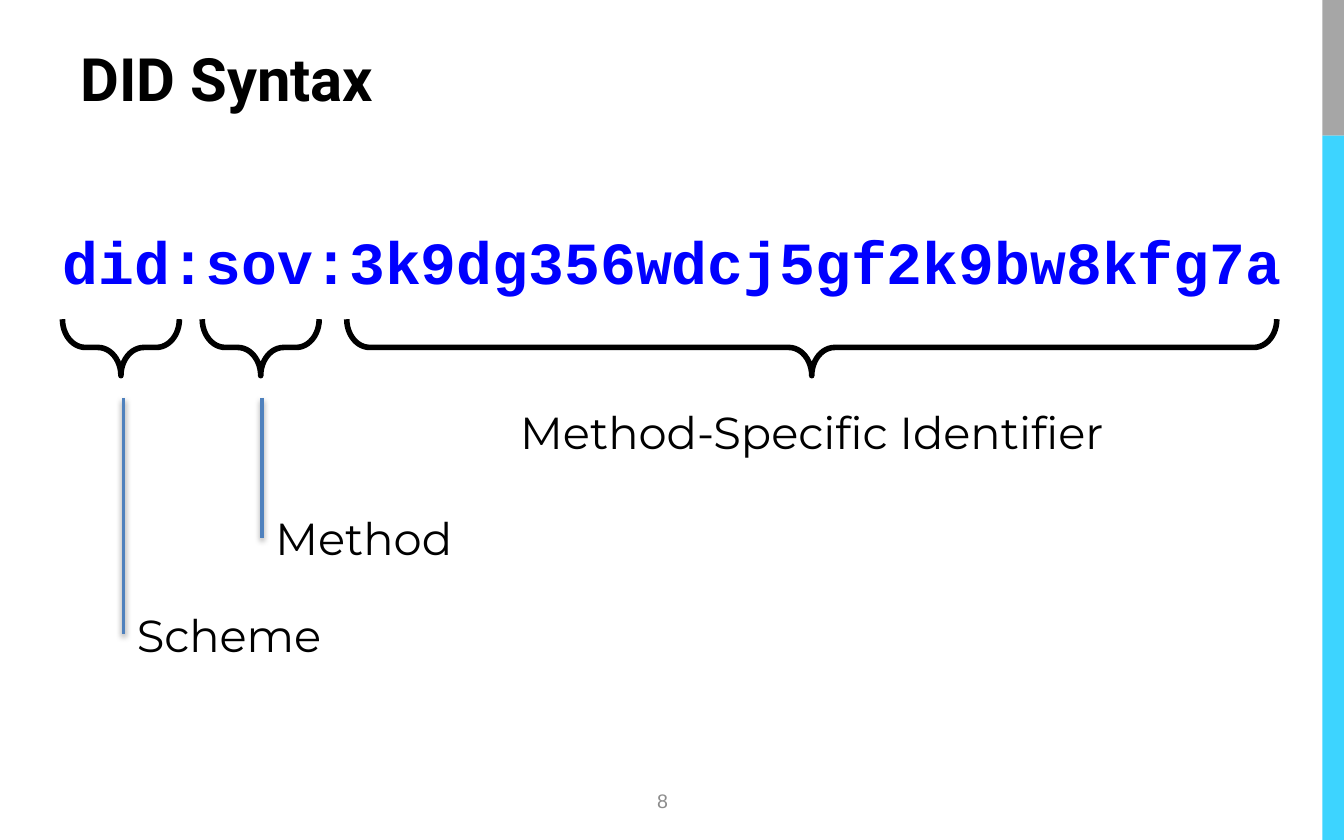
from dataclasses import dataclass
from typing import NamedTuple, Optional

from lxml.etree import SubElement
from pptx import Presentation
from pptx.dml.color import RGBColor
from pptx.enum.shapes import MSO_CONNECTOR, MSO_SHAPE
from pptx.enum.text import MSO_ANCHOR, MSO_AUTO_SIZE, PP_ALIGN
from pptx.oxml.ns import qn
from pptx.util import Inches, Length, Pt

COLUMNS, ROWS = 100, 62.5  # square grid cells over the whole slide
SLIDE_WIDTH, SLIDE_HEIGHT = Inches(10), Inches(6.25)


class TextStyle(NamedTuple):
    font: str
    size: float
    color: str
    bold: bool = False


@dataclass(frozen=True)
class Theme:
    title: TextStyle = TextStyle("Roboto", 32, "000000", True)
    code: TextStyle = TextStyle("Courier New", 32, "0000FF", True)
    label: TextStyle = TextStyle("Montserrat", 24, "000000")
    number: TextStyle = TextStyle("Arial", 10.5, "8C8C8C")
    band_top: str = "A6A6A6"
    band_bottom: str = "3DD4FF"
    brace: str = "000000"
    stem: str = "4F81BD"


class Box(NamedTuple):
    left: float
    top: float
    width: float
    height: float


class Part(NamedTuple):
    """One part of the identifier: its brace, its label and perhaps a stem."""
    name: str
    center: float
    span: float
    label: Box
    align: PP_ALIGN = PP_ALIGN.LEFT
    stem_bottom: Optional[float] = None


THEME = Theme()
BAND_LEFT, BAND_SPLIT = 98.4, 10.1
BRACE_TOP, BRACE_DEPTH = 23.75, 4.2
STEM_TOP = 29.6
PARTS = [
    Part("Scheme", 9, 8.7, Box(9.2, 44.7, 24.2, 5), stem_bottom=47.2),
    Part("Method", 19.4, 8.7, Box(19.5, 37.5, 19.2, 5), stem_bottom=40),
    Part("Method-Specific Identifier", 60.4, 69.2, Box(35, 29.6, 50.8, 5), PP_ALIGN.CENTER),
]


def x(columns: float) -> Length:
    return Length(round(SLIDE_WIDTH * columns / COLUMNS))


def y(rows: float) -> Length:
    return Length(round(SLIDE_HEIGHT * rows / ROWS))


def place(box: Box) -> tuple:
    return x(box.left), y(box.top), x(box.width), y(box.height)


def write(shape, text: str, style: TextStyle, align: PP_ALIGN, anchor: MSO_ANCHOR):
    frame = shape.text_frame
    frame.word_wrap = True
    frame.auto_size = MSO_AUTO_SIZE.NONE
    frame.vertical_anchor = anchor
    para = frame.paragraphs[0]
    para.text = text
    para.alignment = align
    font = para.font
    font.name, font.size, font.bold = style.font, Pt(style.size), style.bold
    font.color.rgb = RGBColor.from_string(style.color)
    return para


def fill_placeholder(shape, box: Box, text: str, style: TextStyle,
                     align: PP_ALIGN, anchor: MSO_ANCHOR):
    shape.left, shape.top, shape.width, shape.height = place(box)
    return write(shape, text, style, align, anchor)


def add_label(page, box: Box, text: str, style: TextStyle,
              align: PP_ALIGN, anchor: MSO_ANCHOR = MSO_ANCHOR.TOP) -> None:
    write(page.shapes.add_textbox(*place(box)), text, style, align, anchor)


def add_band(page, box: Box, color: str) -> None:
    band = page.shapes.add_shape(MSO_SHAPE.RECTANGLE, *place(box))
    band.shadow.inherit = False
    band.fill.solid()
    band.fill.fore_color.rgb = RGBColor.from_string(color)
    band.line.fill.background()


def add_brace(page, center: float, span: float) -> None:
    """Draw a brace that opens upward, by turning a left brace a quarter."""
    middle = BRACE_TOP + BRACE_DEPTH / 2
    upright = Box(center - BRACE_DEPTH / 2, middle - span / 2, BRACE_DEPTH, span)
    brace = page.shapes.add_shape(MSO_SHAPE.LEFT_BRACE, *place(upright))
    brace.rotation = 270
    brace.adjustments[0] = 0.407
    brace.shadow.inherit = False
    brace.fill.background()
    brace.line.color.rgb = RGBColor.from_string(THEME.brace)
    brace.line.width = Pt(3)


def add_stem(page, column: float, bottom: float) -> None:
    stem = page.shapes.add_connector(
        MSO_CONNECTOR.STRAIGHT, x(column), y(STEM_TOP), x(column), y(bottom))
    stem.line.color.rgb = RGBColor.from_string(THEME.stem)
    stem.line.width = Pt(2)
    effects = SubElement(stem._element.spPr, qn("a:effectLst"))
    shadow = SubElement(effects, qn("a:outerShdw"), blurRad=str(Pt(3.1)),
                        dist=str(Pt(1.6)), dir="5400000", rotWithShape="0")
    color = SubElement(shadow, qn("a:srgbClr"), val="000000")
    SubElement(color, qn("a:alpha"), val="38000")


def main() -> None:
    deck = Presentation()
    deck.slide_width, deck.slide_height = SLIDE_WIDTH, SLIDE_HEIGHT
    page = deck.slides.add_slide(deck.slide_layouts[1])

    band_width = COLUMNS - BAND_LEFT
    add_band(page, Box(BAND_LEFT, 0, band_width, BAND_SPLIT), THEME.band_top)
    add_band(page, Box(BAND_LEFT, BAND_SPLIT, band_width, ROWS - BAND_SPLIT),
             THEME.band_bottom)

    fill_placeholder(page.shapes.title, Box(5, 1.4, 90, 8.7), "DID Syntax",
                     THEME.title, PP_ALIGN.LEFT, MSO_ANCHOR.MIDDLE)
    para = fill_placeholder(page.placeholders[1], Box(1.7, 16.2, 96.7, 9.2),
                            "did:sov:3k9dg356wdcj5gf2k9bw8kfg7a",
                            THEME.code, PP_ALIGN.CENTER, MSO_ANCHOR.TOP)
    para.space_before = Pt(0.2 * THEME.code.size)
    properties = para._p.get_or_add_pPr()
    properties.set("marL", "0")
    properties.set("indent", "0")
    SubElement(properties, qn("a:buNone"))
    # The bullet setting must come before the default run properties.
    properties.append(properties.find(qn("a:defRPr")))

    for part in PARTS:
        add_brace(page, part.center, part.span)
        add_label(page, part.label, part.name, THEME.label, part.align)
        if part.stem_bottom is not None:
            add_stem(page, part.label.left, part.stem_bottom)

    add_label(page, Box(47.9, 57.9, 4.1, 3.3), "8", THEME.number,
              PP_ALIGN.JUSTIFY, MSO_ANCHOR.MIDDLE)
    deck.save("out.pptx")


if __name__ == "__main__":
    main()
